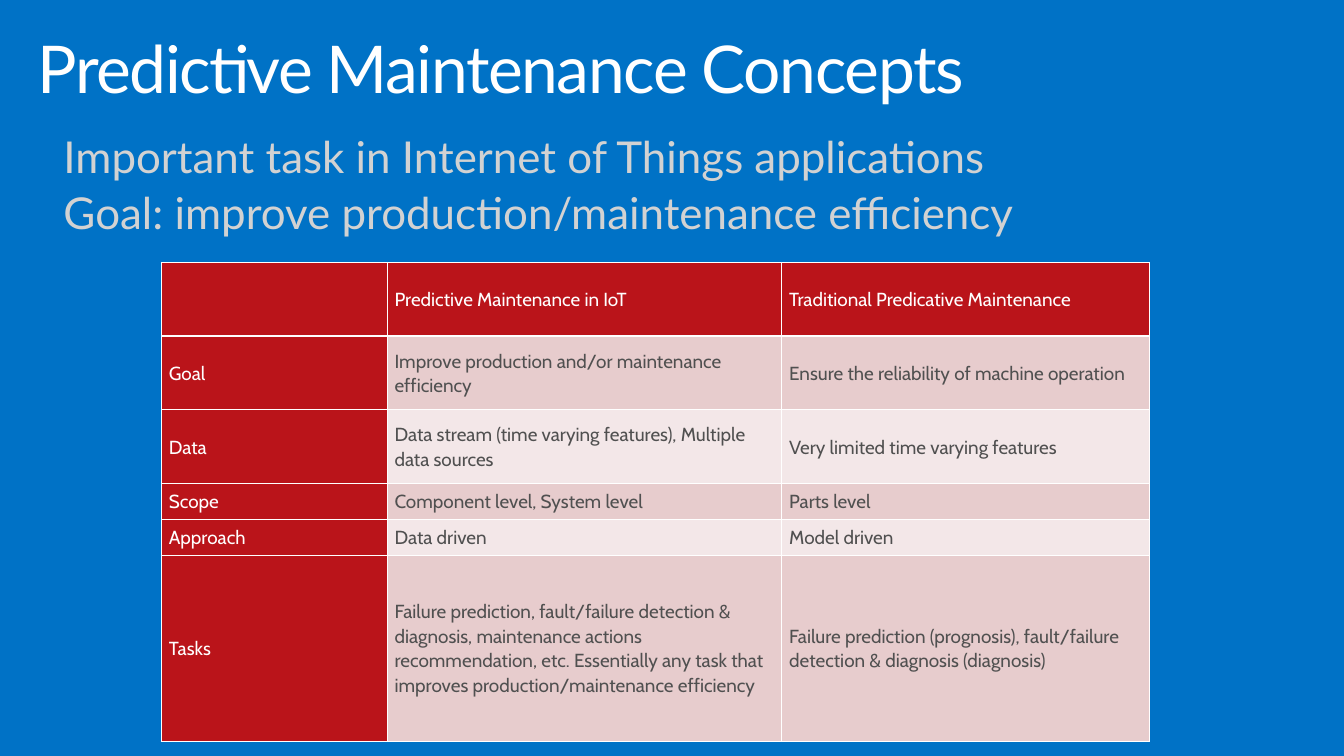
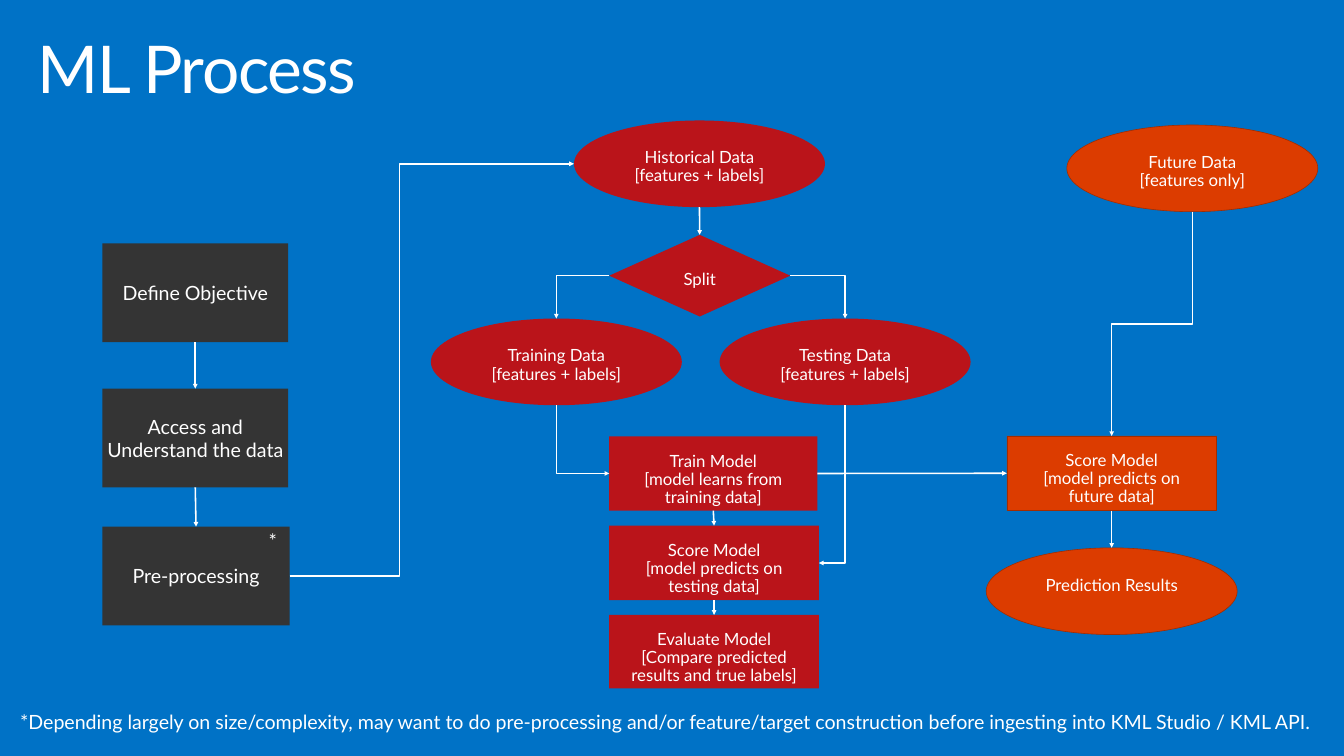
from lxml import etree
from pptx import Presentation
from pptx import util as u
from pptx.dml.color import RGBColor
from pptx.enum import shapes, text
from pptx.oxml.ns import qn

PX = 9144
BLUE = RGBColor(0x00, 0x72, 0xC6)
WHITE = RGBColor(0xFF, 0xFF, 0xFF)
PALE = RGBColor(0xD2, 0xD2, 0xD2)
GREY = RGBColor(0x50, 0x50, 0x50)
DARK = RGBColor(0x34, 0x34, 0x34)
RED = RGBColor(0xBA, 0x14, 0x1A)
PINK = RGBColor(0xE7, 0xCC, 0xCD)
LIGHT_PINK = RGBColor(0xF3, 0xE7, 0xE8)
ORANGE = RGBColor(0xDC, 0x3C, 0x00)
RUST = RGBColor(0xA3, 0x2C, 0x00)

RECT = shapes.MSO_SHAPE.RECTANGLE
OVAL = shapes.MSO_SHAPE.OVAL
DIAMOND = shapes.MSO_SHAPE.DIAMOND
LEFT, CENTER = text.PP_ALIGN.LEFT, text.PP_ALIGN.CENTER
TOP, MIDDLE = text.MSO_ANCHOR.TOP, text.MSO_ANCHOR.MIDDLE
SIDES = ["top", "left", "bottom", "right"]
DEEP_INSETS = (40, 32)


def px(length):
    return u.Emu(round(length * PX))


class SlideBuilder:
    font = "Lato"
    table_font = "Cabin"
    title_size = 94.1
    body_size = 62.7
    step_size = 28
    node_size = 24
    cell_size = 27

    def __init__(self, deck):
        self.deck = deck
        self.page = None

    def new_page(self, title):
        self.page = self.deck.slides.add_slide(self.deck.slide_layouts[6])
        self.page.background.fill.solid()
        self.page.background.fill.fore_color.rgb = BLUE
        box = self.text_box((59, 63, 2549, 197), [title], self.title_size)
        para = box.text_frame.paragraphs[0]
        para._p.find(".//" + qn("a:defRPr")).set("spc", "-200")

    def fill_text(self, frame, lines, size, color=WHITE, font=None, align=LEFT,
                  spacing=0.9, before=0, after=0):
        for number, line in enumerate(lines):
            para = frame.paragraphs[0] if number == 0 else frame.add_paragraph()
            para.text = line
            para.alignment = align
            para.line_spacing = spacing
            para.space_before = u.Pt(before)
            para.space_after = u.Pt(after)
            para.font.name = font or self.font
            para.font.size = u.Pt(size)
            para.font.bold = False
            para.font.color.rgb = color

    def inset(self, target, across, down):
        target.margin_left = target.margin_right = px(across)
        target.margin_top = target.margin_bottom = px(down)

    def text_box(self, area, lines, size, insets=(16, 10), wrap=True, **style):
        box = self.page.shapes.add_textbox(*map(px, area))
        box.text_frame.word_wrap = wrap
        self.inset(box.text_frame, *insets)
        self.fill_text(box.text_frame, lines, size, **style)
        return box

    def note(self, area, line):
        return self.text_box(area, [line], self.step_size, DEEP_INSETS, False, after=12)

    def shape(self, kind, area, lines, size, fill, insets, anchor, spacing):
        node = self.page.shapes.add_shape(kind, *map(px, area))
        node.shadow.inherit = False
        node.fill.solid()
        node.fill.fore_color.rgb = fill
        if fill == ORANGE:
            node.line.color.rgb = RUST
            node.line.width = u.Pt(0.85)
        else:
            node.line.fill.background()
        frame = node.text_frame
        frame.word_wrap = True
        frame.vertical_anchor = anchor
        self.inset(frame, *insets)
        self.fill_text(frame, lines, size, align=CENTER, spacing=spacing)
        return node

    def step(self, area, label):
        return self.shape(RECT, area, [label], self.step_size, DARK, (10, 5), MIDDLE, 1.0)

    def node(self, kind, area, *lines, fill=RED):
        return self.shape(kind, area, lines, self.node_size, fill, DEEP_INSETS, TOP, 0.9)

    def anchor_point(self, shape, side):
        across = {"left": 0, "right": 1}.get(side, 0.5)
        down = {"top": 0, "bottom": 1}.get(side, 0.5)
        return shape.left + shape.width * across, shape.top + shape.height * down

    def arrow(self, source, source_side, target, target_side, bend=None):
        start = self.anchor_point(source, source_side)
        end = self.anchor_point(target, target_side)
        dx, dy = end[0] - start[0], end[1] - start[1]
        vertical = source_side in ("top", "bottom")
        turns_once = vertical != (target_side in ("top", "bottom"))
        straight = not turns_once and min(abs(dx), abs(dy)) < px(5)
        rotated = vertical and not straight
        if rotated:
            x, y = (start[0] + end[0]) / 2, (start[1] + end[1]) / 2
            start, end = (x - dy / 2, y + dx / 2), (x + dy / 2, y - dx / 2)
        kind = shapes.MSO_CONNECTOR.STRAIGHT if straight else shapes.MSO_CONNECTOR.ELBOW
        link = self.page.shapes.add_connector(kind, *(u.Emu(round(v)) for v in start + end))
        link.line.color.rgb = WHITE
        link.line.width = u.Pt(2.25)
        properties = link._element.spPr
        if rotated:
            properties.find(qn("a:xfrm")).set("rot", "5400000")
        geometry = properties.find(qn("a:prstGeom"))
        if turns_once:
            geometry.set("prst", "bentConnector2")
        if bend:
            guides = geometry.find(qn("a:avLst"))
            etree.SubElement(guides, qn("a:gd"), name="adj1", fmla=f"val {bend}")
        etree.SubElement(properties.find(qn("a:ln")), qn("a:tailEnd"), type="triangle")
        etree.SubElement(properties, qn("a:effectLst"))
        glue = link._element.find(".//" + qn("p:cNvCxnSpPr"))
        for tag, shape, side in (("a:stCxn", source, source_side),
                                 ("a:endCxn", target, target_side)):
            step = 2 if shape.auto_shape_type == OVAL else 1
            etree.SubElement(glue, qn(tag), id=str(shape.shape_id),
                             idx=str(SIDES.index(side) * step))

    def cell_borders(self, cell, bottom):
        properties = cell._tc.get_or_add_tcPr()
        for tag, points in (("a:lnL", 1), ("a:lnR", 1), ("a:lnT", 1), ("a:lnB", bottom)):
            edge = etree.SubElement(properties, qn(tag), w=str(int(u.Pt(points))))
            fill = etree.SubElement(edge, qn("a:solidFill"))
            etree.SubElement(fill, qn("a:srgbClr"), val=str(WHITE))

    def table(self, area, widths, heights, rows):
        grid = self.page.shapes.add_table(len(rows), len(widths), *map(px, area)).table
        for column, width in zip(grid.columns, widths):
            column.width = px(width)
        for row, height in zip(grid.rows, heights):
            row.height = px(height)
        for r, values in enumerate(rows):
            for c, value in enumerate(values):
                cell = grid.cell(r, c)
                heading = r == 0 or c == 0
                self.cell_borders(cell, 3 if r == 0 else 1)
                cell.fill.solid()
                cell.fill.fore_color.rgb = RED if heading else PINK if r % 2 else LIGHT_PINK
                cell.vertical_anchor = MIDDLE
                self.inset(cell, 15, 0)
                self.fill_text(cell.text_frame, [value], self.cell_size,
                               WHITE if heading else GREY, self.table_font, spacing=1.07)


def build_concepts(builder):
    builder.new_page("Predictive Maintenance Concepts")
    builder.text_box((110, 259, 2500, 231),
                     ["Important task in Internet of Things applications",
                      "Goal: improve production/maintenance efficiency"],
                     builder.body_size, color=PALE, before=12.5)
    builder.table((320, 521, 1960, 950), (448, 783, 729), (146, 146, 146, 71, 71, 370), [
        ("", "Predictive Maintenance in IoT", "Traditional Predicative Maintenance"),
        ("Goal", "Improve production and/or maintenance efficiency",
         "Ensure the reliability of machine operation"),
        ("Data", "Data stream (time varying features), Multiple data sources",
         "Very limited time varying features"),
        ("Scope", "Component level, System level", "Parts level"),
        ("Approach", "Data driven", "Model driven"),
        ("Tasks", "Failure prediction, fault/failure detection & diagnosis, maintenance "
         "actions recommendation, etc. Essentially any task that improves "
         "production/maintenance efficiency",
         "Failure prediction (prognosis), fault/failure detection & diagnosis (diagnosis)"),
    ])


def build_process(builder):
    builder.new_page("ML Process")
    objective = builder.step((203, 483, 369, 196), "Define Objective")
    access = builder.step((203, 771, 369, 196), "Access and Understand the data")
    preparation = builder.step((203, 1045, 372, 196), "Pre-processing")
    builder.note((493, 1034, 97, 107), "*")
    builder.note((0, 1393, 2687, 107),
                 "*Depending largely on size/complexity, may want to do pre-processing and/or "
                 "feature/target construction before ingesting into KML Studio / KML API.")

    labelled = "[features + labels]"
    historical = builder.node(OVAL, (1139, 239, 498, 172), "Historical Data", labelled)
    training = builder.node(OVAL, (855, 632, 498, 172), "Training Data", labelled)
    testing = builder.node(OVAL, (1428, 632, 498, 172), "Testing Data", labelled)
    future = builder.node(OVAL, (2117, 248, 498, 172), "Future Data", "[features only]",
                          fill=ORANGE)
    split = builder.node(DIAMOND, (1209, 466, 359, 162), "Split")
    train = builder.node(RECT, (1209, 866, 413, 147), "Train Model",
                         "[model learns from training data]")
    score = builder.node(RECT, (1209, 1043, 416, 148), "Score Model",
                         "[model predicts on testing data]")
    evaluate = builder.node(RECT, (1209, 1220, 416, 146), "Evaluate Model",
                            "[Compare predicted results and true labels]")
    predict = builder.node(RECT, (1998, 865, 416, 148), "Score Model",
                           "[model predicts on future data]", fill=ORANGE)
    results = builder.node(OVAL, (1957, 1087, 498, 172), "Prediction Results", fill=ORANGE)

    for source, target in ((historical, split), (train, score), (score, evaluate),
                           (objective, access), (access, preparation),
                           (future, predict), (predict, results)):
        builder.arrow(source, "bottom", target, "top")
    builder.arrow(split, "left", training, "top")
    builder.arrow(split, "right", testing, "top")
    builder.arrow(training, "bottom", train, "left")
    builder.arrow(testing, "bottom", score, "right")
    builder.arrow(train, "right", predict, "left")
    builder.arrow(preparation, "right", historical, "left", bend=38600)


def main():
    deck = Presentation()
    deck.slide_width, deck.slide_height = px(2667), px(1500)
    builder = SlideBuilder(deck)
    build_concepts(builder)
    build_process(builder)
    deck.save("out.pptx")


if __name__ == "__main__":
    main()
